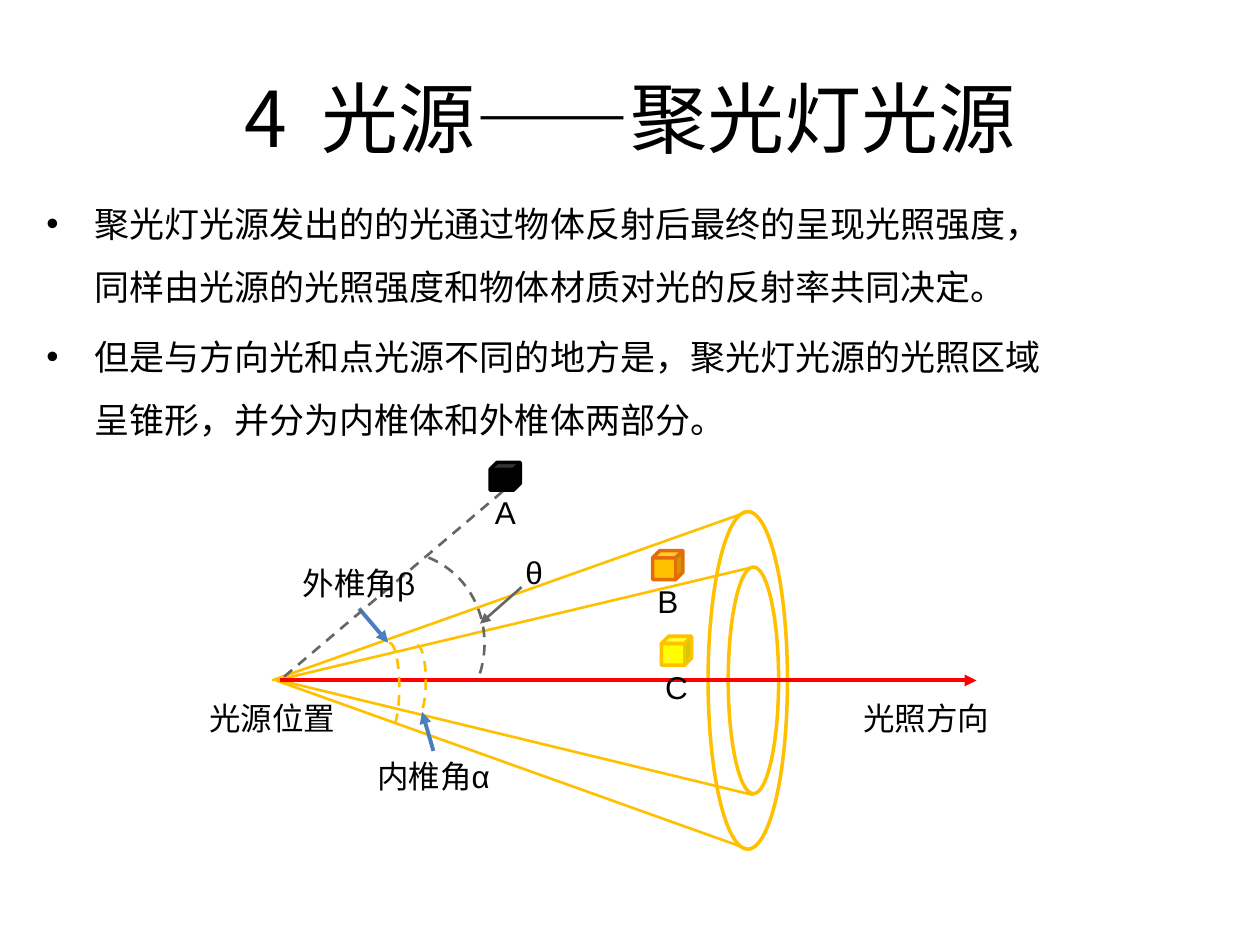
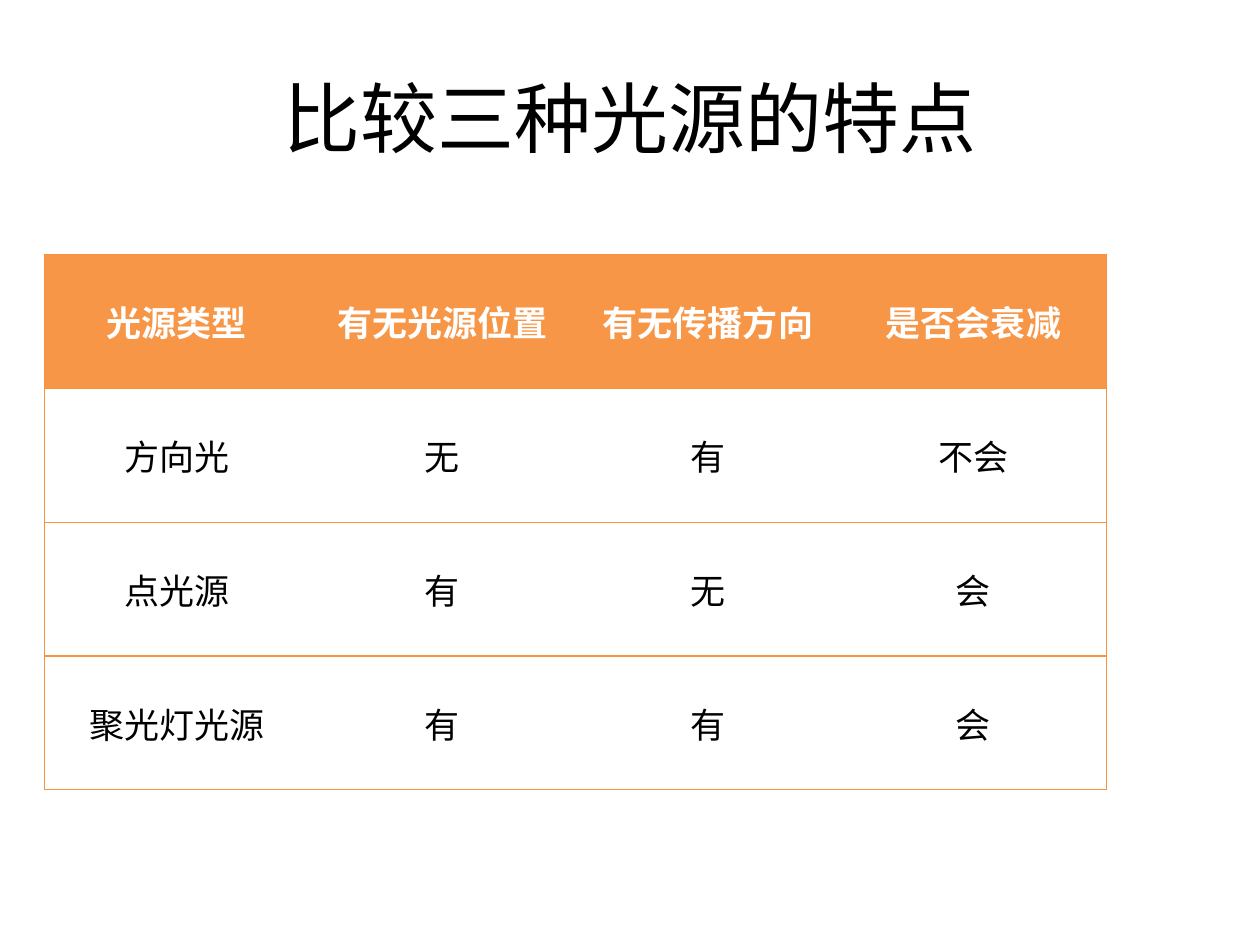
from lxml import etree
from pptx import Presentation
from pptx.dml.color import RGBColor
from pptx.enum.dml import MSO_LINE_DASH_STYLE as Dash
from pptx.enum.shapes import MSO_CONNECTOR, MSO_SHAPE as Preset
from pptx.enum.text import MSO_ANCHOR as Anchor, PP_ALIGN as Align
from pptx.oxml.ns import qn
from pptx.util import Inches, Pt

# Shared colours and fonts
BLACK = RGBColor(0x00, 0x00, 0x00)
WHITE = RGBColor(0xFF, 0xFF, 0xFF)
GOLD = RGBColor(0xFF, 0xC0, 0x00)
YELLOW = RGBColor(0xFF, 0xFF, 0x00)
RUST = RGBColor(0xE4, 0x6C, 0x0A)
RED = RGBColor(0xFF, 0x00, 0x00)
BLUE = RGBColor(0x4B, 0x7E, 0xBC)
GREY = RGBColor(0x66, 0x66, 0x66)
ORANGE = RGBColor(0xF7, 0x96, 0x46)
BORDER = RGBColor(0xF6, 0x92, 0x40)
CJK = "Noto Sans CJK SC"
LATIN = "Arial"
TABLE_FONT = "Calibri"

# Spotlight slide content
SPOT_TITLE = [("4  光源——", CJK), ("聚光灯光源", LATIN)]
BULLETS = [
    "聚光灯光源发出的的光通过物体反射后最终的呈现光照强度，同样由光源的光照强度和物体材质对光的反射率共同决定。",
    "但是与方向光和点光源不同的地方是，聚光灯光源的光照区域呈锥形，并分为内椎体和外椎体两部分。",
]
CONE_RIMS = [(5.62, 4.06, 0.63, 2.68), (5.78, 4.5, 0.4, 1.8)]
AXIS_Y = 5.4
# (start, end, colour, width, dashed, arrow)
LINES = [
    ((5.94, 4.06), (2.16, AXIS_Y), GOLD, 1.5, False, False),
    ((5.94, 6.74), (2.19, AXIS_Y), GOLD, 1.5, False, False),
    ((5.98, 4.5), (2.19, AXIS_Y), GOLD, 1.5, False, False),
    ((5.98, 6.31), (2.22, AXIS_Y), GOLD, 1.5, False, False),
    ((2.22, AXIS_Y), (7.75, AXIS_Y), RED, 2.25, False, True),
    ((2.85, 4.83), (3.08, 5.1), BLUE, 2.25, False, True),
    ((3.44, 5.96), (3.35, 5.65), BLUE, 2.25, False, True),
    ((3.99, 3.9), (2.22, AXIS_Y), GREY, 1.5, True, False),
    ((4.14, 4.66), (3.81, 4.95), GREY, 1.5, False, True),
]
# (box, colour, rotation, arc adjustments)
ANGLE_ARCS = [
    ((3.01, 5.1, 0.16, 0.71), GOLD, 0, (162, 49.6)),
    ((3.24, 5.12, 0.14, 0.57), GOLD, 0, (162, 49.6)),
    ((2.39, 4.37, 1.45, 1.53), GREY, 21.9, (162, 0)),
]
# (name, left, top, height, fill, outline)
CUBES = [
    ("A", 3.89, 3.67, 0.22, BLACK, BLACK),
    ("B", 5.18, 4.37, 0.23, GOLD, RUST),
    ("C", 5.25, 5.05, 0.23, YELLOW, GOLD),
]
CUBE_WIDTH = 0.24
CUBE_LABEL_WIDTH = 0.55
LABEL_HEIGHT = 0.4
# (text, left, top, width)
LABELS = [
    ("光源位置", 1.46, 5.5, 1.4),
    ("光照方向", 6.65, 5.5, 1.4),
    ("外椎角β", 2.15, 4.43, 1.4),
    ("内椎角α", 2.74, 5.96, 1.4),
    ("θ", 3.93, 4.34, 0.62),
]

# Comparison slide content
COMPARE_TITLE = [("比较三种光源的特点", CJK)]
LIGHT_TABLE = [
    ("光源类型", "有无光源位置", "有无传播方向", "是否会衰减"),
    ("方向光", "无", "有", "不会"),
    ("点光源", "有", "无", "会"),
    ("聚光灯光源", "有", "有", "会"),
]
TABLE_BOX = (0.35, 2.02, 8.43, 4.25)


def inches(values):
    return [Inches(value) for value in values]


def add_run(paragraph, text, size, font=LATIN, color=BLACK, bold=False):
    run = paragraph.add_run()
    run.text = text
    font_format = {"size": Pt(size), "name": font, "bold": bold}
    for name, value in font_format.items():
        setattr(run.font, name, value)
    run.font.color.rgb = color
    east_asian = etree.SubElement(run._r.get_or_add_rPr(), qn("a:ea"))
    east_asian.set("typeface", CJK)


def add_text_frame(slide, box, anchor):
    frame = slide.shapes.add_textbox(*inches(box)).text_frame
    frame.word_wrap = True
    frame.vertical_anchor = anchor
    return frame


def add_centred_text(slide, box, runs, size):
    paragraph = add_text_frame(slide, box, Anchor.MIDDLE).paragraphs[0]
    paragraph.alignment = Align.CENTER
    for text, font in runs:
        add_run(paragraph, text, size, font)


def add_titled_slide(presentation, title):
    slide = presentation.slides.add_slide(presentation.slide_layouts[6])
    add_centred_text(slide, (0.5, 0.3, 9, 1.25), title, 44)
    return slide


def add_bullets(slide):
    frame = add_text_frame(slide, (0.27, 1.39, 8.15, 2.2), Anchor.TOP)
    for index, text in enumerate(BULLETS):
        paragraph = frame.add_paragraph() if index else frame.paragraphs[0]
        paragraph.line_spacing = 1.5
        paragraph.space_before = Pt(4)
        properties = paragraph._p.get_or_add_pPr()
        properties.set("marL", str(Inches(0.38)))
        properties.set("indent", str(-Inches(0.38)))
        etree.SubElement(properties, qn("a:buFont")).set("typeface", LATIN)
        etree.SubElement(properties, qn("a:buChar")).set("char", "•")
        add_run(paragraph, text, 20)


def add_outline(slide, preset, box, color, width, fill=None):
    shape = slide.shapes.add_shape(preset, *inches(box))
    shape.shadow.inherit = False
    if fill is None:
        shape.fill.background()
    else:
        shape.fill.solid()
        shape.fill.fore_color.rgb = fill
    shape.line.color.rgb = color
    shape.line.width = Pt(width)
    return shape


def add_line(slide, start, end, color, width, dashed, arrow):
    line = slide.shapes.add_connector(MSO_CONNECTOR.STRAIGHT, *inches(start + end))
    line.line.color.rgb = color
    line.line.width = Pt(width)
    if dashed:
        line.line.dash_style = Dash.DASH
    if arrow:
        outline = line.line._get_or_add_ln()
        etree.SubElement(outline, qn("a:tailEnd")).set("type", "triangle")
    etree.SubElement(line._element.spPr, qn("a:effectLst"))


def draw_spotlight(slide):
    for box in CONE_RIMS:
        add_outline(slide, Preset.OVAL, box, GOLD, 2)
    for line in LINES:
        add_line(slide, *line)
    for box, color, rotation, adjustments in ANGLE_ARCS:
        arc = add_outline(slide, Preset.ARC, box, color, 1.5)
        arc.line.dash_style = Dash.DASH
        arc.rotation = rotation
        for index, value in enumerate(adjustments):
            arc.adjustments[index] = value
    # Each cube has its letter centred underneath
    cube_labels = []
    for name, left, top, height, fill, outline in CUBES:
        add_outline(slide, Preset.CUBE, (left, top, CUBE_WIDTH, height), outline, 2, fill)
        label_left = left + (CUBE_WIDTH - CUBE_LABEL_WIDTH) / 2
        cube_labels.append((name, label_left, top + height - 0.03, CUBE_LABEL_WIDTH))
    for text, left, top, width in LABELS + cube_labels:
        add_centred_text(slide, (left, top, width, LABEL_HEIGHT), [(text, LATIN)], 18)


def set_borders(cell, visible):
    properties = cell._tc.get_or_add_tcPr()
    for side in "LRTB":
        border = etree.SubElement(properties, qn(f"a:ln{side}"))
        if side in visible:
            border.set("w", str(Pt(0.75)))
            fill = etree.SubElement(border, qn("a:solidFill"))
            etree.SubElement(fill, qn("a:srgbClr")).set("val", str(BORDER))
        else:
            border.set("w", "0")
            etree.SubElement(border, qn("a:noFill"))


def add_light_table(slide):
    row_count, column_count = len(LIGHT_TABLE), len(LIGHT_TABLE[0])
    left, top, width, height = inches(TABLE_BOX)
    table = slide.shapes.add_table(row_count, column_count, left, top, width, height).table
    for column in table.columns:
        column.width = width // column_count
    for row in table.rows:
        row.height = height // row_count
    for row_index, texts in enumerate(LIGHT_TABLE):
        header = row_index == 0
        for column_index, text in enumerate(texts):
            cell = table.cell(row_index, column_index)
            cell.vertical_anchor = Anchor.MIDDLE
            # Rules between rows, with an outer frame only at the sides
            sides = "TB" + "L" * (column_index == 0) + "R" * (column_index == column_count - 1)
            set_borders(cell, sides)
            if header:
                cell.fill.solid()
                cell.fill.fore_color.rgb = ORANGE
            else:
                cell.fill.background()
            paragraph = cell.text_frame.paragraphs[0]
            paragraph.alignment = Align.CENTER
            add_run(paragraph, text, 20, TABLE_FONT, WHITE if header else BLACK, header)


def main():
    presentation = Presentation()
    presentation.slide_width, presentation.slide_height = Inches(10), Inches(7.5)

    spotlight = add_titled_slide(presentation, SPOT_TITLE)
    add_bullets(spotlight)
    draw_spotlight(spotlight)

    comparison = add_titled_slide(presentation, COMPARE_TITLE)
    add_light_table(comparison)

    presentation.save("out.pptx")


if __name__ == "__main__":
    main()
